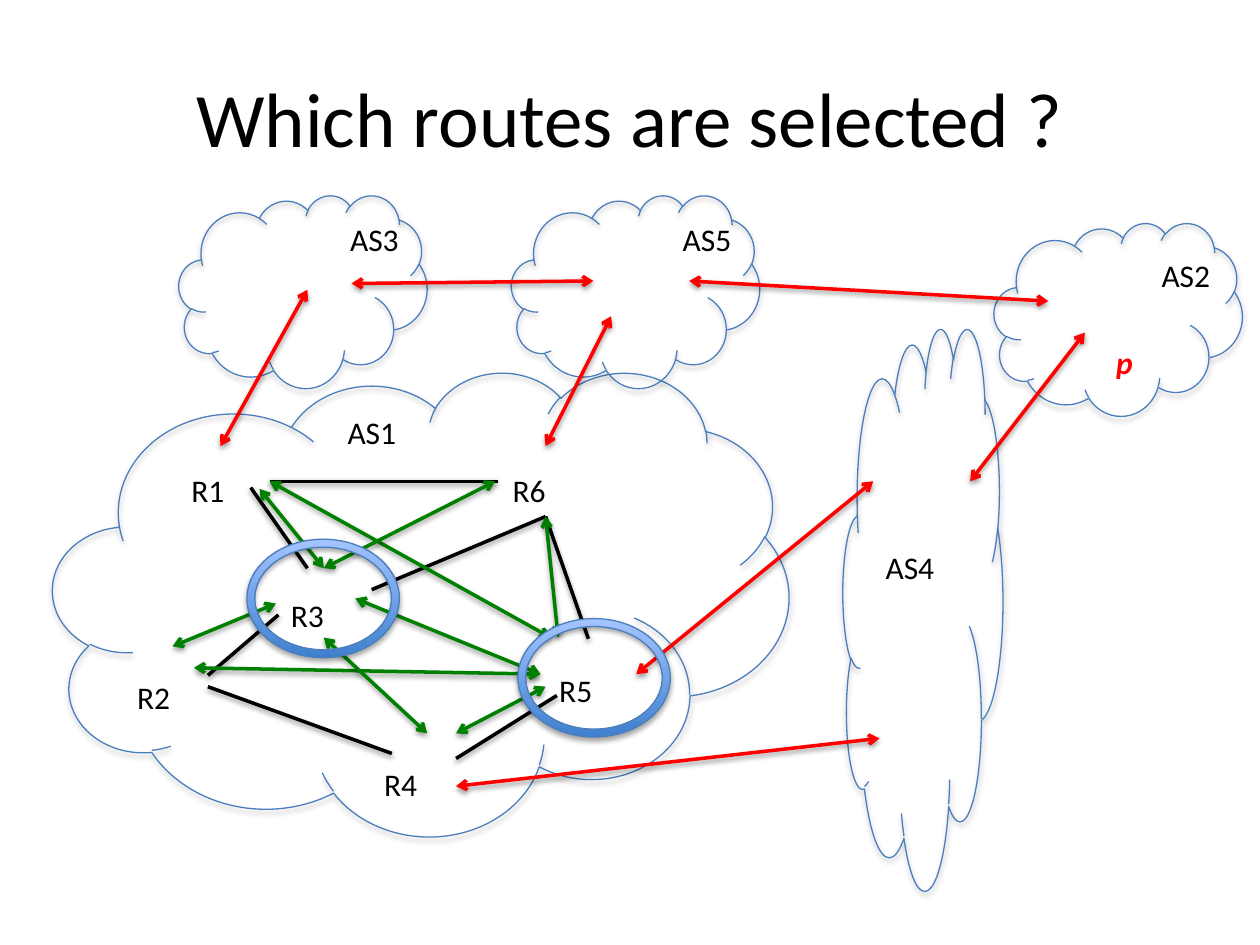
from lxml import etree
from pptx import Presentation
from pptx import util as u
from pptx.dml.color import RGBColor
from pptx.enum import shapes, text
from pptx.oxml.ns import qn

FONT = "Calibri"
BLACK, RED, GREEN, OUTLINE = "000000", "FF0000", "008000", "4B7EBC"
RING_BOTTOM, RING_TOP = "3F80CE", "A4C4FF"

# Networks: left, top, width, height
SMALL = (1.97, 1.53)
clouds = [
    (0.42, 2.95, 5.84, 3.68),  # AS1
    (6.69, 2.6, 1.27, 4.46),   # AS4
    (7.89, 1.77, *SMALL),      # AS2
    (1.42, 1.55, *SMALL),      # AS3
    (4.06, 1.55, *SMALL),      # AS5
]

# Names: text, left, top, width
AS_W, ROUTER_W = 0.59, 0.47
names = [
    ("AS1", 2.66, 3.23, AS_W), ("AS2", 9.12, 1.98, AS_W),
    ("AS3", 2.68, 1.7, AS_W), ("AS4", 6.93, 4.3, AS_W),
    ("AS5", 5.32, 1.7, AS_W),
    ("R1", 1.42, 3.69, ROUTER_W), ("R2", 0.99, 5.33, ROUTER_W),
    ("R3", 2.21, 4.68, ROUTER_W), ("R4", 2.95, 6.02, ROUTER_W),
    ("R5", 4.34, 5.28, ROUTER_W), ("R6", 3.97, 3.69, ROUTER_W),
]

# Links: x and y of the start, x and y of the end
external_sessions = [
    (3.62, 6.24, 6.98, 5.86),  # R4 - AS4
    (5.05, 5.35, 6.93, 3.82),  # R5 - AS4
    (5.47, 2.23, 8.32, 2.39),  # AS5 - AS2
    (7.7, 3.82, 8.61, 2.64),   # AS4 - AS2
    (1.75, 3.54, 2.44, 2.3),   # R1 - AS3
    (2.79, 2.25, 4.71, 2.23),  # AS3 - AS5
    (4.85, 2.51, 4.33, 3.54),  # AS5 - R6
]
physical_links = [
    (1.99, 3.87, 2.44, 4.51),  # R1 - R3
    (2.14, 3.82, 3.95, 3.82),  # R1 - R6
    (1.65, 5.45, 3.11, 5.98),  # R2 - R4
    (2.95, 4.68, 4.33, 4.1),   # R3 - R6
    (1.65, 5.36, 2.21, 4.88),  # R2 - R3
    (3.62, 6.02, 4.42, 5.52),  # R4 - R5
    (4.67, 5.07, 4.33, 4.1),   # R5 - R6
]
internal_sessions = [
    (2.82, 4.75, 4.29, 5.35),  # R3 - R5
    (2.06, 3.88, 2.57, 4.51),  # R1 - R3
    (2.14, 3.82, 4.37, 5.06),  # R1 - R5
    (3.93, 3.82, 2.57, 4.51),  # R6 - R3
    (4.33, 4.1, 4.43, 5.06),   # R6 - R5
    (2.19, 4.79, 1.37, 5.13),  # R3 - R2
    (4.29, 5.35, 1.54, 5.3),   # R5 - R2
    (2.57, 5.06, 3.39, 5.82),  # R3 - R4
    (4.33, 5.45, 3.62, 5.82),  # R5 - R4
]

# Route reflectors R3 and R5: left, top
rings = [(1.96, 4.28), (4.11, 4.91)]
RING_SIZE = (1.21, 0.94)

prs = Presentation()
prs.slide_width, prs.slide_height = u.Inches(10), u.Inches(7.5)
slide = prs.slides.add_slide(prs.slide_layouts[6])


def color(value):
    return RGBColor.from_string(value)


def inches(*lengths):
    return [u.Inches(length) for length in lengths]


def add_shadow(properties, distance, opacity):
    effects = properties.find(qn("a:effectLst"))
    if effects is None:
        effects = etree.SubElement(properties, qn("a:effectLst"))
    shadow = etree.SubElement(
        effects, qn("a:outerShdw"), blurRad=str(u.Pt(3.1)),
        dist=str(u.Pt(distance)), dir="5400000", rotWithShape="0")
    black = etree.SubElement(shadow, qn("a:srgbClr"), val=BLACK)
    etree.SubElement(black, qn("a:alpha"), val=str(opacity * 1000))


def add_outlined(kind, box):
    shape = slide.shapes.add_shape(kind, *inches(*box))
    shape.line.color.rgb = color(OUTLINE)
    shape.line.width = u.Pt(0.75)
    shape.shadow.inherit = False
    add_shadow(shape.element.spPr, 1.8, 35)
    return shape


def add_link(ends, hue, arrows):
    link = slide.shapes.add_connector(
        shapes.MSO_CONNECTOR.STRAIGHT, *inches(*ends))
    link.line.color.rgb = color(hue)
    link.line.width = u.Pt(2)
    properties = link.element.spPr
    if arrows:
        for end in ("a:headEnd", "a:tailEnd"):
            etree.SubElement(properties.find(qn("a:ln")), qn(end), type="arrow")
    add_shadow(properties, 1.6, 38)


def add_text(words, box, size=18, hue=BLACK, strong=False):
    label = slide.shapes.add_textbox(*inches(*box))
    label.text_frame.word_wrap = False
    label.text_frame.auto_size = text.MSO_AUTO_SIZE.SHAPE_TO_FIT_TEXT
    run = label.text_frame.paragraphs[0].add_run()
    run.text = words
    run.font.name, run.font.size = FONT, u.Pt(size)
    run.font.color.rgb = color(hue)
    run.font.bold = run.font.italic = strong
    return label.text_frame


# Title
title = add_text("Which routes are selected ?", (0.5, 0.3, 9, 1.25), size=44)
title.word_wrap = True
title.auto_size = text.MSO_AUTO_SIZE.NONE
title.vertical_anchor = text.MSO_ANCHOR.MIDDLE
title.paragraphs[0].alignment = text.PP_ALIGN.CENTER

# Networks
for box in clouds:
    add_outlined(shapes.MSO_SHAPE.CLOUD, box).fill.background()

# Links and sessions
for links, hue, arrows in [(external_sessions, RED, True),
                           (physical_links, BLACK, False),
                           (internal_sessions, GREEN, True)]:
    for ends in links:
        add_link(ends, hue, arrows)

# Names and the prefix
for name, left, top, width in names:
    add_text(name, (left, top, width, 0.4))
add_text("p", (8.76, 2.67, 0.39, 0.4), hue=RED, strong=True)

# Route reflector rings
for corner in rings:
    ring = add_outlined(shapes.MSO_SHAPE.DONUT, (*corner, *RING_SIZE))
    ring.adjustments[0] = 0.067
    ring.fill.gradient()
    ring.fill.gradient_angle = 90
    for stop, hue, place in zip(ring.fill.gradient_stops,
                                (RING_BOTTOM, RING_TOP), (0, 1)):
        stop.color.rgb = color(hue)
        stop.position = place

prs.save("out.pptx")
